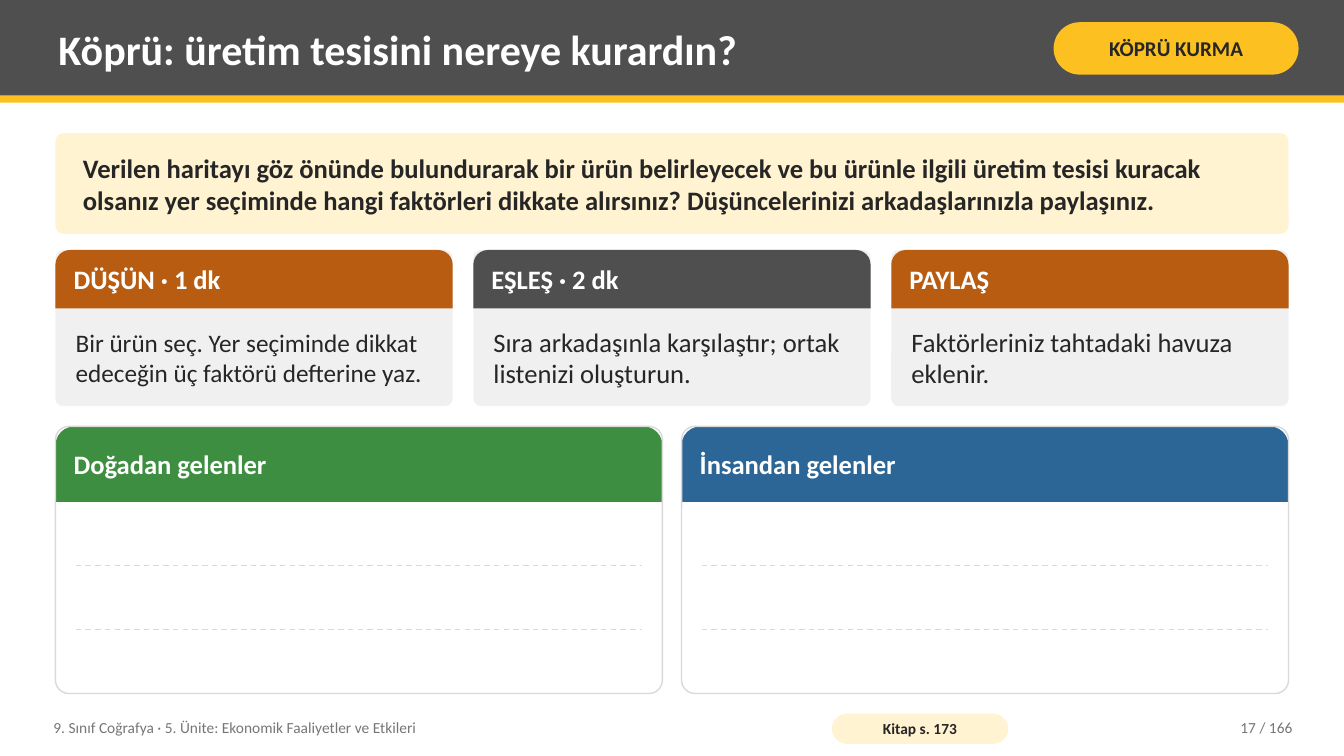
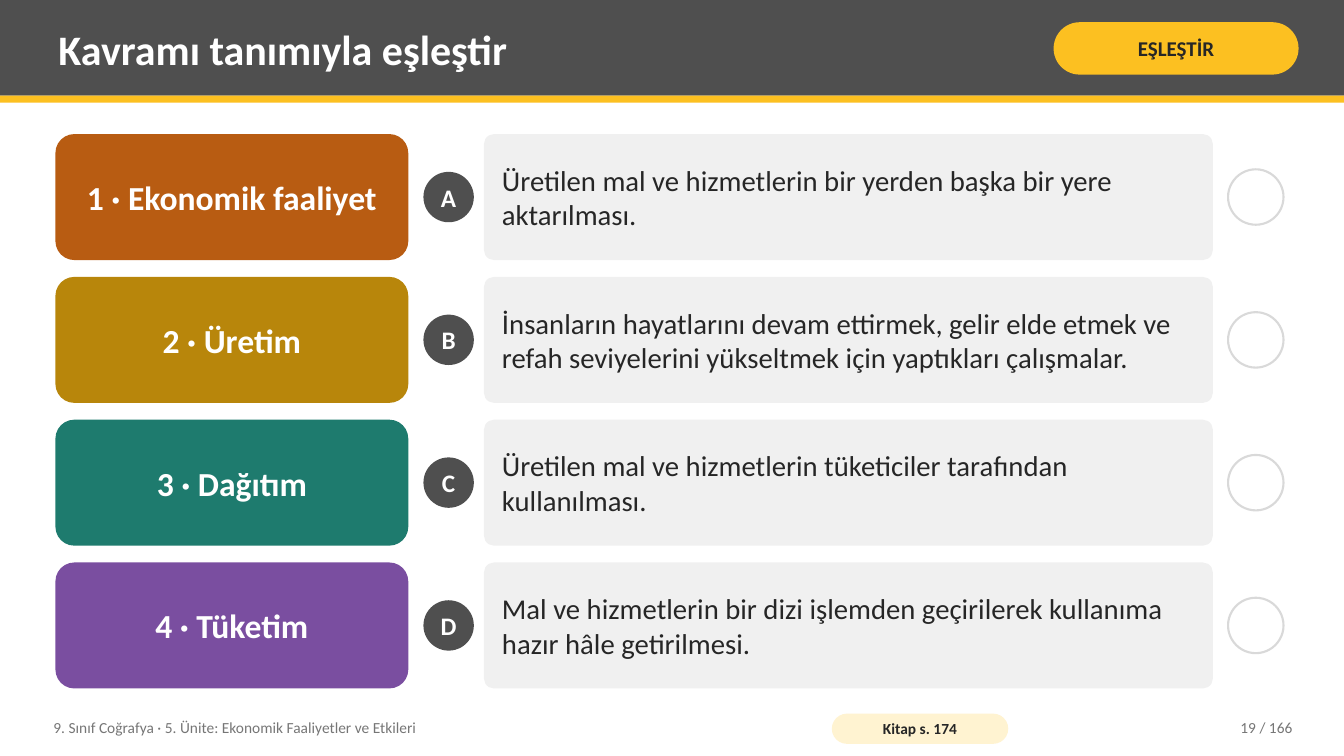
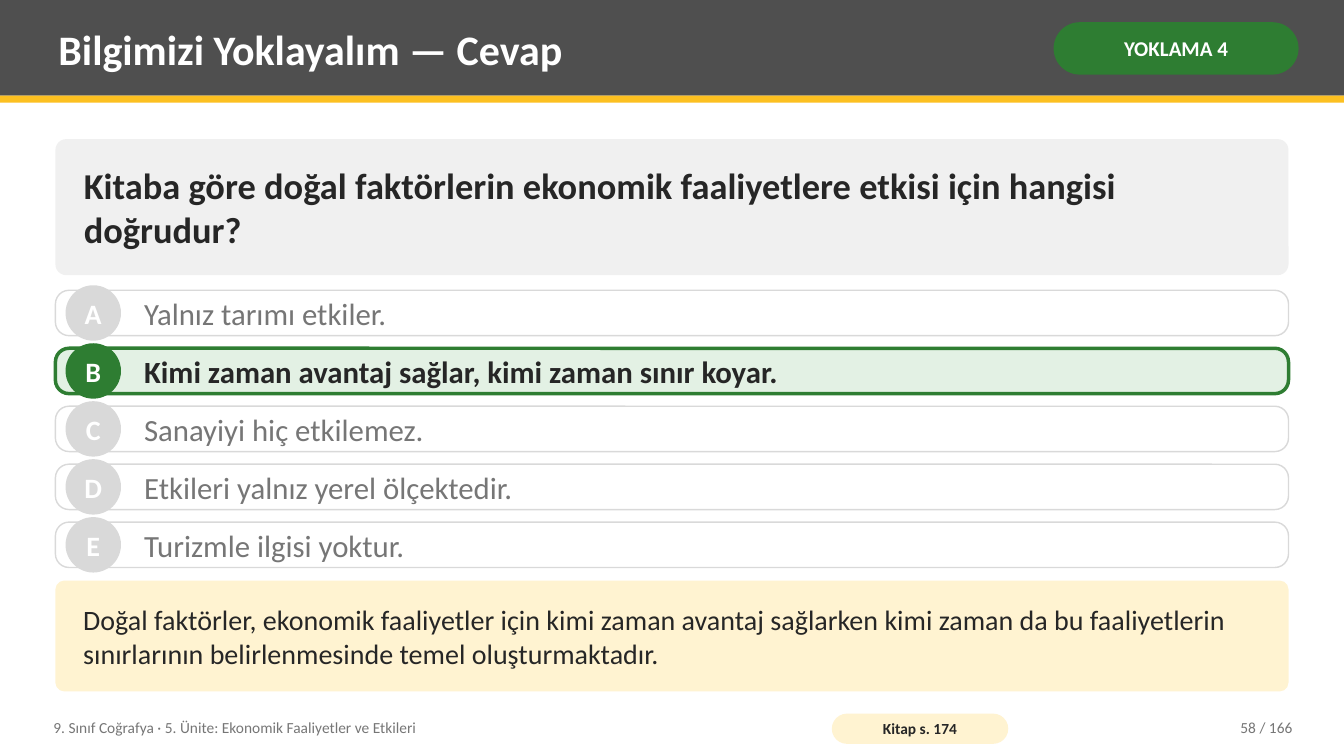
from dataclasses import dataclass

from lxml import etree
from pptx import Presentation
from pptx import util as u
from pptx.dml.color import RGBColor
from pptx.enum import dml, shapes, text
from pptx.oxml.ns import qn

PX = 9144
RECT = shapes.MSO_SHAPE.RECTANGLE
ROUND = shapes.MSO_SHAPE.ROUNDED_RECTANGLE
CAP = shapes.MSO_SHAPE.ROUND_2_SAME_RECTANGLE
OVAL = shapes.MSO_SHAPE.OVAL
LEFT, CENTER, RIGHT = text.PP_ALIGN.LEFT, text.PP_ALIGN.CENTER, text.PP_ALIGN.RIGHT


@dataclass(frozen=True)
class Theme:
    """Colours, type sizes and font of the deck."""
    font: str = "Calibri"
    white: str = "FFFFFF"
    ink: str = "262626"
    muted: str = "767676"
    dark: str = "4F4F4F"
    rule: str = "D9D9D9"
    panel: str = "F0F0F0"
    yellow: str = "FCC021"
    cream: str = "FFF3D1"
    orange: str = "B85C12"
    gold: str = "B8860B"
    teal: str = "1E7B6E"
    purple: str = "7A4EA0"
    leaf: str = "3E8E41"
    blue: str = "2C6696"
    green: str = "2E7D32"
    mint: str = "E3F1E4"
    title: float = 30
    question: float = 26
    term: float = 24
    option: float = 22
    definition: float = 20.5
    note: float = 20
    body: float = 19
    small: float = 18
    tag: float = 15
    footer: float = 11


T = Theme()


@dataclass(frozen=True)
class Box:
    """A rectangle in px."""
    x: float
    y: float
    w: float
    h: float

    def emu(self):
        """Return left, top, width and height in EMU."""
        return [u.Emu(round(v * PX)) for v in (self.x, self.y, self.w, self.h)]

    def inner(self, dx, dy, w, h):
        """Return a box placed relative to this one."""
        return Box(self.x + dx, self.y + dy, w, h)

    def middle(self, dx, size):
        """Return a square centred vertically at offset dx."""
        return self.inner(dx, (self.h - size) / 2, size, size)

    def columns(self, count, w):
        """Spread equal columns over the width."""
        step = (self.w - w) / (count - 1)
        return [self.inner(i * step, 0, w, self.h) for i in range(count)]

    def rows(self, count, h):
        """Spread equal rows over the height."""
        step = (self.h - h) / (count - 1)
        return [self.inner(0, i * step, self.w, h) for i in range(count)]


def rgb(color):
    """Turn a hex string into a colour."""
    return RGBColor.from_string(color)


def write(sp, words, size, color=T.ink, bold=False, align=LEFT, inset=(8, 4), wrap=True):
    """Set one formatted paragraph, vertically centred."""
    tf = sp.text_frame
    tf.word_wrap = wrap
    tf.auto_size = text.MSO_AUTO_SIZE.NONE
    tf.vertical_anchor = text.MSO_ANCHOR.MIDDLE
    tf.margin_left = tf.margin_right = u.Emu(inset[0] * PX)
    tf.margin_top = tf.margin_bottom = u.Emu(inset[1] * PX)
    p = tf.paragraphs[0]
    p.text = words
    p.alignment = align
    p.font.name, p.font.size, p.font.bold = T.font, u.Pt(size), bold
    p.font.color.rgb = rgb(color)


def shape(s, kind, box, fill=None, adj=None, line=None, weight=1):
    """Add a flat shape with optional fill, outline and corner size."""
    sp = s.shapes.add_shape(kind, *box.emu())
    sp.shadow.inherit = False
    if adj is not None:
        sp.adjustments[0] = adj
    if fill:
        sp.fill.solid()
        sp.fill.fore_color.rgb = rgb(fill)
    else:
        sp.fill.background()
    if line:
        sp.line.color.rgb = rgb(line)
        sp.line.width = u.Pt(weight)
    else:
        sp.line.fill.background()
    return sp


def label(s, box, words, size, color=T.ink, bold=False, align=LEFT):
    """Add a text box."""
    write(s.shapes.add_textbox(*box.emu()), words, size, color, bold, align)


def panel(s, box, words, size, fill, bold=False, inset=25):
    """Add a rounded panel holding a sentence."""
    write(shape(s, ROUND, box, fill, 0.08), words, size, bold=bold, inset=(inset, 8))


def badge(s, box, letter, size, fill):
    """Add a letter in a disc."""
    write(shape(s, OVAL, box, fill), letter, size, T.white, True, CENTER, (0, 0), False)


def header(s, box, words, fill):
    """Add a card header with rounded top corners."""
    shape(s, CAP, box, fill, 0.25)
    label(s, box.inner(10, 0, box.w - 20, box.h), words, T.body, T.white, True)


def dashed_line(s, x, y, w):
    """Add a horizontal dashed writing line."""
    left, top, width, _ = Box(x, y, w, 0).emu()
    c = s.shapes.add_connector(shapes.MSO_CONNECTOR.STRAIGHT, left, top, left + width, top)
    c.line.color.rgb = rgb(T.rule)
    c.line.width = u.Pt(1)
    c.line.dash_style = dml.MSO_LINE.DASH
    etree.SubElement(c.element.spPr, qn("a:effectLst"))


def step_card(s, box, title, words, fill, size):
    """Draw an activity step: header over a grey body."""
    shape(s, ROUND, box, T.panel, 0.05)
    header(s, box.inner(0, 0, box.w, 58), title, fill)
    label(s, box.inner(12, 66, box.w - 24, box.h - 74), words, size)


def writing_card(s, box, title, fill, spaces=3):
    """Draw an outlined card with ruled space to write in."""
    top = 75
    header(s, box.inner(0, 0, box.w, top), title, fill)
    shape(s, ROUND, box, adj=0.05, line=T.rule)
    for i in range(1, spaces):
        y = box.y + top + i * (box.h - top) / spaces
        dashed_line(s, box.x + 20, y, box.w - 40)


def match_row(s, box, term, fill, letter, definition):
    """Draw a term, a lettered definition and an empty answer circle."""
    sp = shape(s, ROUND, box.inner(0, 0, 350, box.h), fill, 0.15)
    write(sp, term, T.term, T.white, True, CENTER, (14, 8))
    panel(s, box.inner(425, 0, 723, box.h), definition, T.definition, T.panel, inset=15)
    badge(s, box.middle(365, 50), letter, T.small, T.dark)
    shape(s, OVAL, box.middle(1163, 55), T.white, line=T.rule, weight=1.5)


def option_row(s, box, letter, words, correct):
    """Draw an answer option, highlighted when correct."""
    fill, line, weight = (T.mint, T.green, 2.5) if correct else (T.white, T.rule, 1)
    shape(s, ROUND, box, fill, 0.3, line, weight)
    badge(s, box.middle(10, 55), letter, T.note, line)
    color = T.ink if correct else T.muted
    label(s, box.inner(80, 0, box.w - 100, box.h), words, T.option, color, correct)


def base_slide(prs, title, tag, source, page, tag_fill=T.yellow, tag_color=T.ink):
    """Add a slide with the shared title band, tag and footer."""
    s = prs.slides.add_slide(prs.slide_layouts[5])
    shape(s, RECT, Box(0, 0, 1333, 95), T.dark)
    shape(s, RECT, Box(0, 95, 1333, 7), T.yellow)
    heading = s.shapes.title
    heading.left, heading.top, heading.width, heading.height = Box(50, 7, 975, 82).emu()
    write(heading, title, T.title, T.white, True)
    s.shapes.element.append(heading.element)
    sp = shape(s, ROUND, Box(1045, 22, 243, 52), tag_fill, 0.5)
    write(sp, tag, T.tag, tag_color, True, CENTER, (5, 2))
    label(s, Box(45, 704, 760, 36),
          "9. Sınıf Coğrafya · 5. Ünite: Ekonomik Faaliyetler ve Etkileri", T.footer, T.muted)
    sp = shape(s, ROUND, Box(825, 708, 175, 30), T.cream, 0.5)
    write(sp, source, T.footer, T.ink, True, CENTER, (4, 0))
    label(s, Box(1130, 704, 160, 36), page, T.footer, T.muted, align=RIGHT)
    return s


def bridge_slide(prs):
    """Build the think, pair and share activity."""
    s = base_slide(prs, "Köprü: üretim tesisini nereye kurardın?", "KÖPRÜ KURMA",
                   "Kitap s. 173", "17 / 166")
    panel(s, Box(55, 132, 1223, 100),
          "Verilen haritayı göz önünde bulundurarak bir ürün belirleyecek ve bu ürünle ilgili "
          "üretim tesisi kuracak olsanız yer seçiminde hangi faktörleri dikkate alırsınız? "
          "Düşüncelerinizi arkadaşlarınızla paylaşınız.", T.body, T.cream, True)
    steps = [
        ("DÜŞÜN · 1 dk", "Bir ürün seç. Yer seçiminde dikkat edeceğin üç faktörü defterine yaz.",
         T.orange, T.small),
        ("EŞLEŞ · 2 dk", "Sıra arkadaşınla karşılaştır; ortak listenizi oluşturun.",
         T.dark, T.body),
        ("PAYLAŞ", "Faktörleriniz tahtadaki havuza eklenir.", T.orange, T.body),
    ]
    for box, step in zip(Box(55, 248, 1223, 155).columns(3, 394), steps):
        step_card(s, box, *step)
    groups = [("Doğadan gelenler", T.leaf), ("İnsandan gelenler", T.blue)]
    for box, group in zip(Box(55, 423, 1223, 265).columns(2, 602), groups):
        writing_card(s, box, *group)


def match_slide(prs):
    """Build the term and definition matching exercise."""
    s = base_slide(prs, "Kavramı tanımıyla eşleştir", "EŞLEŞTİR", "Kitap s. 174", "19 / 166")
    pairs = [
        ("1 · Ekonomik faaliyet", T.orange, "A",
         "Üretilen mal ve hizmetlerin bir yerden başka bir yere aktarılması."),
        ("2 · Üretim", T.gold, "B",
         "İnsanların hayatlarını devam ettirmek, gelir elde etmek ve refah seviyelerini "
         "yükseltmek için yaptıkları çalışmalar."),
        ("3 · Dağıtım", T.teal, "C",
         "Üretilen mal ve hizmetlerin tüketiciler tarafından kullanılması."),
        ("4 · Tüketim", T.purple, "D",
         "Mal ve hizmetlerin bir dizi işlemden geçirilerek kullanıma hazır hâle getirilmesi."),
    ]
    for box, pair in zip(Box(55, 133, 1223, 550).rows(4, 125), pairs):
        match_row(s, box, *pair)


def answer_slide(prs):
    """Build the multiple choice question with its answer."""
    s = base_slide(prs, "Bilgimizi Yoklayalım — Cevap", "YOKLAMA 4", "Kitap s. 174",
                   "58 / 166", T.green, T.white)
    panel(s, Box(55, 138, 1223, 135),
          "Kitaba göre doğal faktörlerin ekonomik faaliyetlere etkisi için hangisi doğrudur?",
          T.question, T.panel, True)
    options = [
        "Yalnız tarımı etkiler.",
        "Kimi zaman avantaj sağlar, kimi zaman sınır koyar.",
        "Sanayiyi hiç etkilemez.",
        "Etkileri yalnız yerel ölçektedir.",
        "Turizmle ilgisi yoktur.",
    ]
    for box, letter, words in zip(Box(55, 288, 1223, 275).rows(5, 45), "ABCDE", options):
        option_row(s, box, letter, words, letter == "B")
    panel(s, Box(55, 576, 1223, 110),
          "Doğal faktörler, ekonomik faaliyetler için kimi zaman avantaj sağlarken kimi zaman "
          "da bu faaliyetlerin sınırlarının belirlenmesinde temel oluşturmaktadır.",
          T.note, T.cream)


def main():
    """Build and save the deck."""
    prs = Presentation()
    prs.slide_width, prs.slide_height = u.Emu(1333 * PX), u.Emu(750 * PX)
    for build in (bridge_slide, match_slide, answer_slide):
        build(prs)
    prs.save("out.pptx")


if __name__ == "__main__":
    main()
